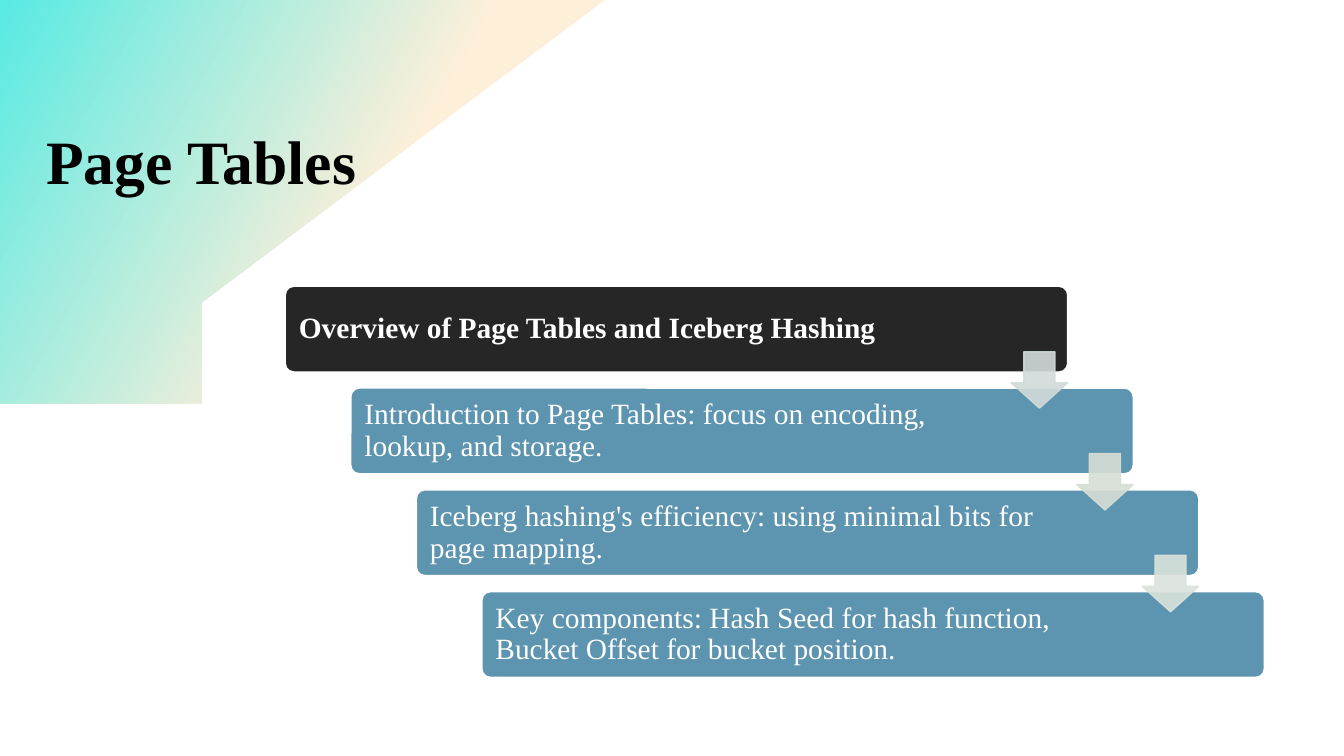
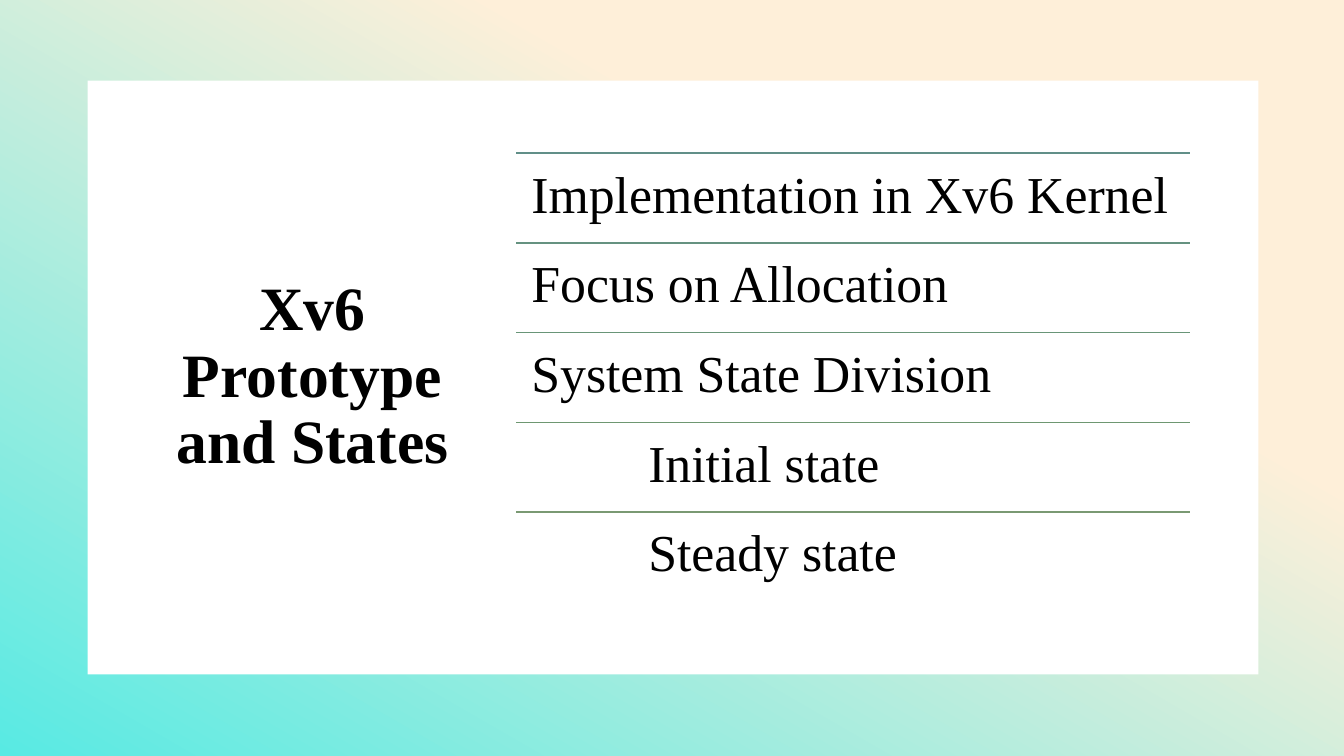
from dataclasses import dataclass
from typing import Optional

from lxml.etree import SubElement
from pptx import Presentation
from pptx.dml.color import RGBColor as RGB
from pptx.enum.shapes import MSO_CONNECTOR as CONNECTOR, MSO_SHAPE as SHAPE
from pptx.enum.text import MSO_ANCHOR as ANCHOR, PP_ALIGN as ALIGN
from pptx.oxml.ns import qn
from pptx.shapes.autoshape import Shape
from pptx.slide import Slide
from pptx.text.text import TextFrame
from pptx.util import Inches, Length, Pt


@dataclass(frozen=True)
class Theme:
    font: str = "Times New Roman"
    title_size: Length = Pt(44)
    step_size: Length = Pt(21)
    row_size: Length = Pt(37)
    line_width: Length = Pt(1)
    line_spacing: float = 0.9
    black: RGB = RGB.from_string("000000")
    white: RGB = RGB.from_string("FFFFFF")
    dark: RGB = RGB.from_string("262626")
    blue: RGB = RGB.from_string("5D94AF")
    cream: RGB = RGB.from_string("FEEFD9")
    cyan: RGB = RGB.from_string("58EAE3")


@dataclass(frozen=True)
class Box:
    left: float
    top: float
    width: float
    height: float

    def lengths(self) -> tuple[Length, ...]:
        return tuple(Inches(v) for v in (self.left, self.top, self.width, self.height))


@dataclass(frozen=True)
class Step:
    text: str
    fill: RGB
    bold: bool = False
    arrow: Optional[str] = None


@dataclass(frozen=True)
class Row:
    text: str
    rule: str
    indent: float = 0


T = Theme()
WIDTH, HEIGHT = 13.33, 7.5

STEPS = (
    Step("Overview of Page Tables and Iceberg Hashing", T.dark, True, "D2DBDA"),
    Step("Introduction to Page Tables: focus on encoding, lookup, and storage.",
         T.blue, arrow="D7DED5"),
    Step("Iceberg hashing's efficiency: using minimal bits for page mapping.",
         T.blue, arrow="DAE3DB"),
    Step("Key components: Hash Seed for hash function, "
         "Bucket Offset for bucket position.", T.blue),
)
ROWS = (
    Row("Implementation in Xv6 Kernel", "618F88"),
    Row("Focus on Allocation", "659280"),
    Row("System State Division", "699578"),
    Row("Initial state", "6E9771", 1.16),
    Row("Steady state", "7A9973", 1.16),
)

Point = tuple[float, float]


def bezier(p0: Point, p1: Point, p2: Point, p3: Point, n: int = 24) -> list[Point]:
    points = []
    for i in range(1, n + 1):
        t = i / n
        weights = ((1 - t) ** 3, 3 * t * (1 - t) ** 2, 3 * t * t * (1 - t), t ** 3)
        x, y = (sum(w * c for w, c in zip(weights, axis)) for axis in zip(p0, p1, p2, p3))
        points.append((x, y))
    return points


def write(tf: TextFrame, text: str, size: Length, color: RGB, bold: bool = False,
          align: ALIGN = ALIGN.LEFT, anchor: ANCHOR = ANCHOR.TOP) -> None:
    tf.word_wrap = True
    tf.vertical_anchor = anchor
    p = tf.paragraphs[0]
    p.text = text
    p.alignment = align
    p.line_spacing = T.line_spacing
    p.font.name = T.font
    p.font.size = size
    p.font.bold = bold
    p.font.color.rgb = color


def add_title(s: Slide, text: str, box: Box, align: ALIGN, anchor: ANCHOR) -> None:
    tf = s.shapes.add_textbox(*box.lengths()).text_frame
    write(tf, text, T.title_size, T.black, True, align, anchor)


def add_shape(s: Slide, kind: SHAPE, box: Box, fill: RGB, line: Optional[RGB] = None) -> Shape:
    sp = s.shapes.add_shape(kind, *box.lengths())
    sp.shadow.inherit = False
    sp.fill.solid()
    sp.fill.fore_color.rgb = fill
    if line is None:
        sp.line.fill.background()
    else:
        sp.line.color.rgb = line
        sp.line.width = T.line_width
    return sp


def paint_gradient(sp: Shape, cream_until: float, angle: float) -> None:
    sp.shadow.inherit = False
    sp.line.fill.background()
    sp.fill.gradient()
    sp.fill.gradient_angle = angle
    cream, cyan = sp.fill.gradient_stops
    cream.color.rgb, cream.position = T.cream, cream_until
    cyan.color.rgb, cyan.position = T.cyan, 1


def add_corner(s: Slide) -> None:
    start = (0.79, 3.8)
    points = bezier(start, (0.56, 3.8), (0.32, 3.76), (0.09, 3.68))
    points += [(0, 3.64), (0, 0), (6.45, 0), (2.17, 3.36), (2.12, 3.4)]
    points += bezier((2.12, 3.4), (1.76, 3.65), (1.34, 3.79), (0.92, 3.8))
    builder = s.shapes.build_freeform(*start, scale=Inches(1))
    builder.add_line_segments(points, close=True)
    paint_gradient(builder.convert_to_shape(), 0.4, 150)


def add_bar(s: Slide, step: Step, left: float, top: float) -> None:
    sp = add_shape(s, SHAPE.ROUNDED_RECTANGLE, Box(left, top, 7.76, 0.85), step.fill, T.white)
    sp.adjustments[0] = 0.1
    tf = sp.text_frame
    tf.margin_left, tf.margin_right = Inches(0.11), Inches(1.33)
    write(tf, step.text, T.step_size, T.white, step.bold, anchor=ANCHOR.MIDDLE)


def add_arrow(s: Slide, color: RGB, left: float, top: float) -> None:
    sp = add_shape(s, SHAPE.DOWN_ARROW, Box(left, top, 0.56, 0.56), color, color)
    sp.adjustments[0], sp.adjustments[1] = 0.55, 0.45
    for clr in sp._element.spPr.iter(qn("a:srgbClr")):
        SubElement(clr, qn("a:alpha")).set("val", "90000")


def add_row(s: Slide, row: Row, top: float) -> None:
    left, width, pitch, inset = 5.12, 6.68, 0.89, 0.15
    y = Inches(top)
    rule = s.shapes.add_connector(CONNECTOR.STRAIGHT, Inches(left), y, Inches(left + width), y)
    rule.line.color.rgb = RGB.from_string(row.rule)
    rule.line.width = T.line_width
    SubElement(rule._element.spPr, qn("a:effectLst"))
    tf = s.shapes.add_textbox(*Box(left, top, width, pitch).lengths()).text_frame
    tf.margin_left = Inches(inset + row.indent)
    tf.margin_top = tf.margin_right = tf.margin_bottom = Inches(inset)
    write(tf, row.text, T.row_size, T.black)


def page_tables(s: Slide) -> None:
    add_corner(s)
    add_title(s, "Page Tables", Box(0.36, 1.25, 4.45, 0.91), ALIGN.LEFT, ANCHOR.TOP)
    places = [(2.83 + 0.65 * i, 2.84 + 1.01 * i) for i in range(len(STEPS))]
    for step, (left, top) in zip(STEPS, places):
        add_bar(s, step, left, top)
    for step, (left, top) in zip(STEPS, places):
        if step.arrow:
            add_arrow(s, RGB.from_string(step.arrow), left + 7.2, top + 0.65)


def xv6_states(s: Slide) -> None:
    backdrop = s.shapes.add_shape(SHAPE.RECTANGLE, *Box(0, 0, WIDTH, HEIGHT).lengths())
    paint_gradient(backdrop, 0.32, 240)
    add_shape(s, SHAPE.RECTANGLE, Box(0.87, 0.8, 11.61, 5.89), T.white)
    add_title(s, "Xv6 Prototype and States", Box(1.45, 2.25, 3.3, 2.99),
              ALIGN.CENTER, ANCHOR.MIDDLE)
    for i, row in enumerate(ROWS):
        add_row(s, row, 1.52 + 0.89 * i)


def main() -> None:
    prs = Presentation()
    prs.slide_width, prs.slide_height = Inches(WIDTH), Inches(HEIGHT)
    for build in (page_tables, xv6_states):
        build(prs.slides.add_slide(prs.slide_layouts[6]))
    prs.save("out.pptx")


if __name__ == "__main__":
    main()
